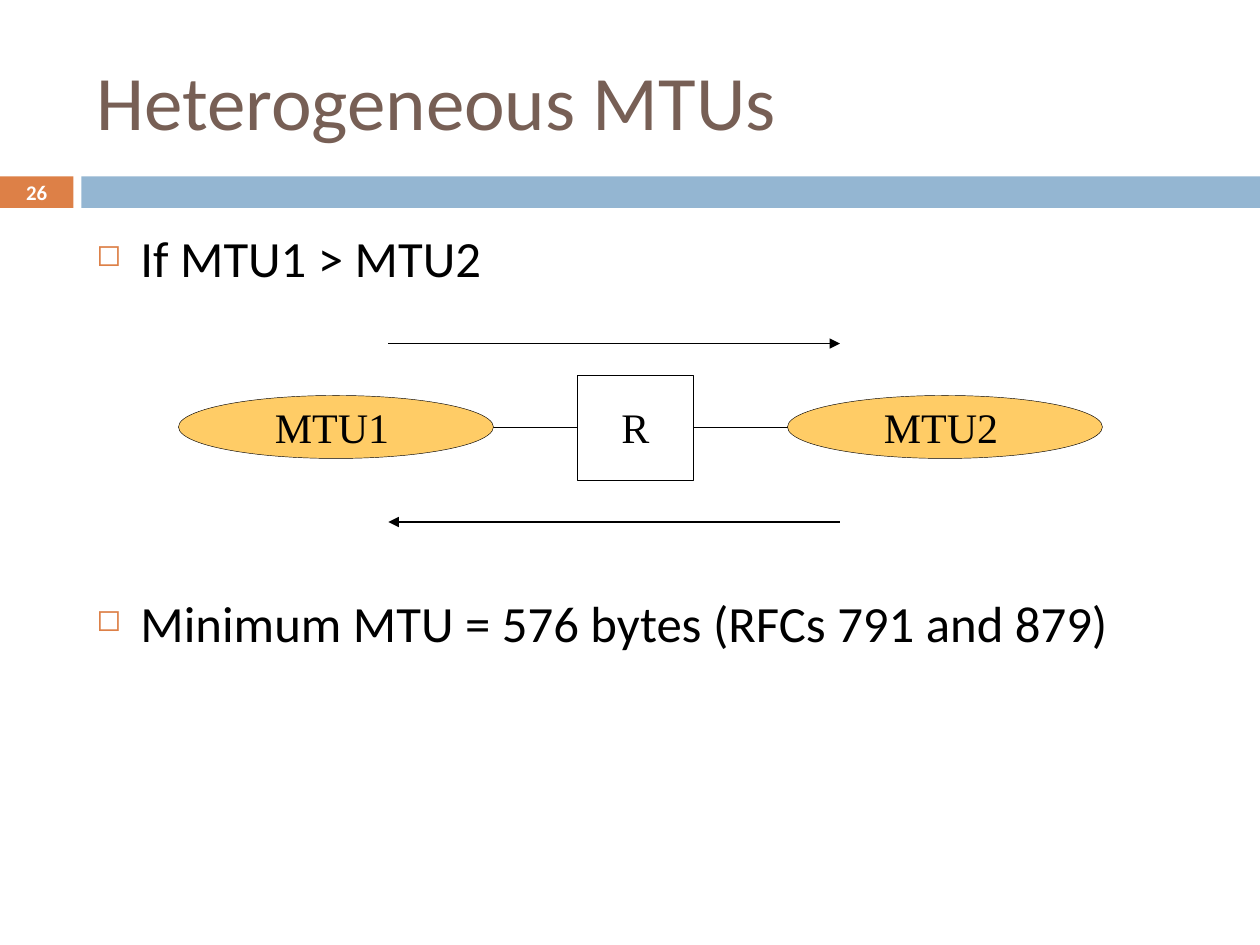
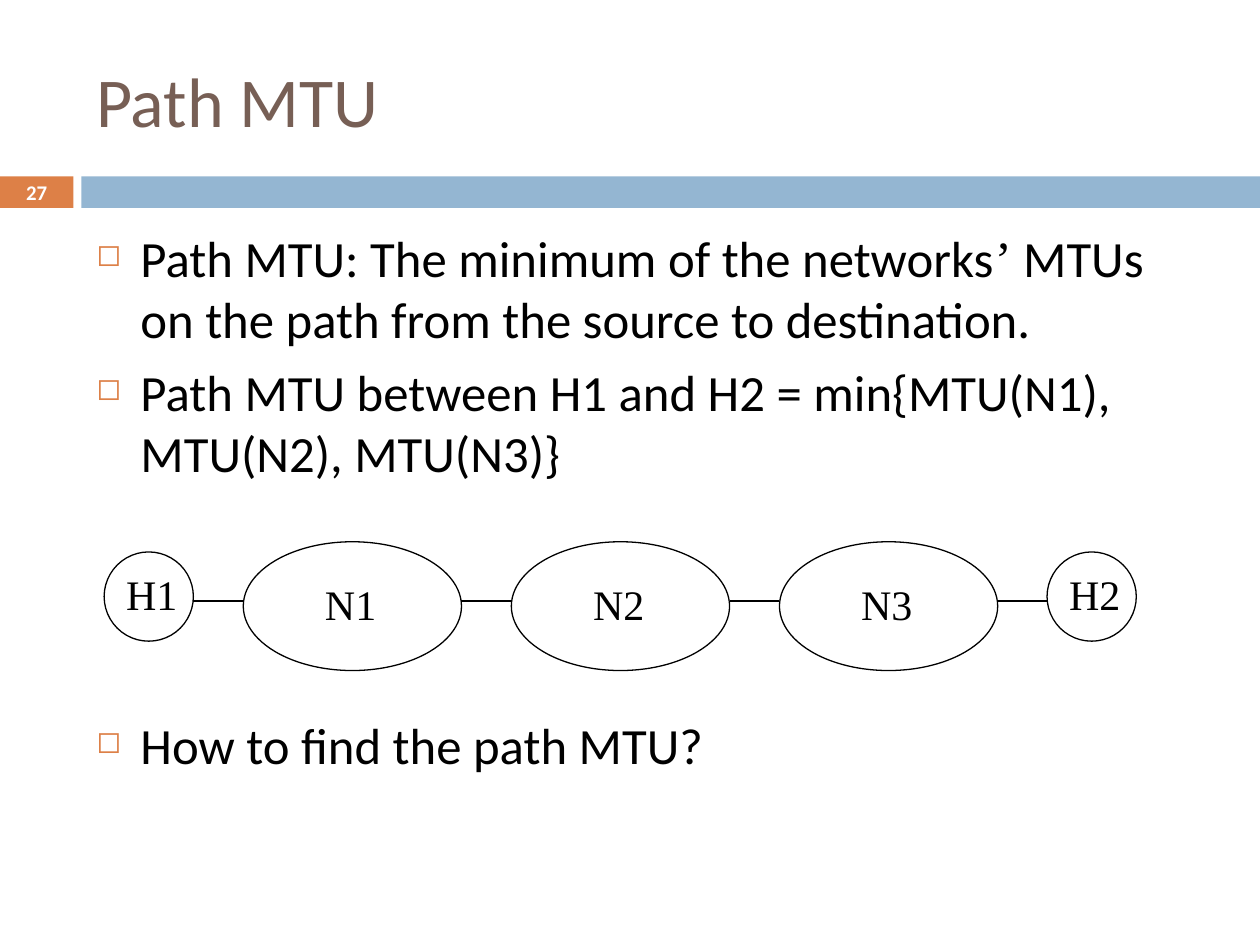
"""Build two slides on heterogeneous and path MTUs."""
from lxml import etree
from pptx import Presentation
from pptx.dml.color import RGBColor
from pptx.enum import shapes, text
from pptx.oxml import ns
from pptx.util import Pt

COLORS = {
    "title": "775F55",
    "accent": "DD8047",
    "band": "94B6D2",
    "network": "FFCC66",
    "ink": "000000",
    "paper": "FFFFFF",
}
SANS, SERIF = "Calibri", "Times New Roman"
RECTANGLE = shapes.MSO_SHAPE.RECTANGLE
OVAL = shapes.MSO_SHAPE.OVAL


def color(name):
    return RGBColor.from_string(COLORS[name])


def add_element(parent, tag, **attributes):
    return etree.SubElement(parent, ns.qn(tag), attributes)


class Deck:
    """Holds the presentation, its style and the current slide."""

    def __init__(self):
        self.presentation = Presentation()
        self.presentation.slide_width = Pt(720)
        self.presentation.slide_height = Pt(540)
        self.slide = None

    def start_slide(self, title, number, title_size):
        self.slide = self.presentation.slides.add_slide(self.presentation.slide_layouts[6])
        self.shape(RECTANGLE, 0, 100.8, 42, 18, fill="accent")
        self.shape(RECTANGLE, 46.5, 100.8, 673.5, 18, fill="band")
        self.text_box(title, 48, 18, 642, 78, title_size, SANS, "title", middle=True)
        paragraph = self.text_box(str(number), 0, 100, 42, 19.5, 11.9, SANS, "paper", middle=True)
        paragraph.alignment = text.PP_ALIGN.CENTER
        paragraph.runs[0].font.bold = True

    def shape(self, kind, left, top, width, height, fill=None, line=None):
        shape = self.slide.shapes.add_shape(kind, Pt(left), Pt(top), Pt(width), Pt(height))
        shape.shadow.inherit = False
        if fill:
            shape.fill.solid()
            shape.fill.fore_color.rgb = color(fill)
        else:
            shape.fill.background()
        if line:
            shape.line.color.rgb = color("ink")
            shape.line.width = Pt(line)
        else:
            shape.line.fill.background()

    def frame(self, left, top, width, height, middle=False):
        box = self.slide.shapes.add_textbox(Pt(left), Pt(top), Pt(width), Pt(height))
        frame = box.text_frame
        frame.word_wrap = True
        frame.vertical_anchor = text.MSO_ANCHOR.MIDDLE if middle else text.MSO_ANCHOR.TOP
        return frame

    def run(self, paragraph, content, size, font, ink="ink"):
        run = paragraph.add_run()
        run.text = content
        run.font.size = Pt(size)
        run.font.name = font
        run.font.color.rgb = color(ink)

    def text_box(self, content, left, top, width, height, size, font, ink="ink", middle=False):
        paragraph = self.frame(left, top, width, height, middle).paragraphs[0]
        self.run(paragraph, content, size, font, ink)
        return paragraph

    def label(self, content, left, top, width):
        self.text_box(content, left, top, width, 36, 24, SERIF)

    def bullets(self, items):
        frame = self.frame(48, 126, 642, 354)
        for index, (space_before, runs) in enumerate(items):
            paragraph = frame.add_paragraph() if index else frame.paragraphs[0]
            properties = paragraph._p.get_or_add_pPr()
            properties.set("marL", str(Pt(25.2)))
            properties.set("indent", str(-Pt(25.2)))
            bullet_color = add_element(properties, "a:buClr")
            add_element(bullet_color, "a:srgbClr", val=COLORS["accent"])
            add_element(properties, "a:buSzPct", val="60000")
            add_element(properties, "a:buChar", char="◻")
            paragraph.space_before = Pt(space_before)
            for content, font in runs:
                self.run(paragraph, content, 29, font)

    def line(self, start, end, y, width=0.75, arrow=False):
        connector = self.slide.shapes.add_connector(
            shapes.MSO_CONNECTOR.STRAIGHT, Pt(start), Pt(y), Pt(end), Pt(y))
        connector.line.color.rgb = color("ink")
        connector.line.width = Pt(width)
        properties = connector._element.spPr
        if arrow:
            add_element(properties.find(ns.qn("a:ln")), "a:tailEnd", type="triangle")
        add_element(properties, "a:effectLst")


def heterogeneous_mtus(deck):
    deck.start_slide("Heterogeneous MTUs", 26, 44)
    deck.bullets([
        (0, [("If MTU1 > MTU2", SANS)]),
        (174, [("Minimum MTU = 576 bytes (RFCs 791 and 879)", SANS)]),
    ])
    deck.shape(RECTANGLE, 330, 214.5, 66, 60, line=0.25)
    deck.label("R", 348, 226, 31)
    for link_start in (228, 396):
        deck.line(link_start, link_start + 102, 244.3, width=0.25)
    for name, left in (("MTU1", 102), ("MTU2", 450)):
        deck.shape(OVAL, left, 226, 180, 36, fill="network", line=0.25)
        deck.label(name, left + 48, 226, 84)
    deck.line(222, 480, 196.3, arrow=True)
    deck.line(480, 222, 298.3, arrow=True)


def path_mtu(deck):
    deck.start_slide("Path MTU", 27, 40)
    deck.bullets([
        (0, [("Path MTU: The minimum of the networks", SANS), ("’", SERIF),
             (" MTUs on the path from the source to destination.", SANS)]),
        (7, [("Path MTU between H1 and H2 = min{MTU(N1), MTU(N2), MTU(N3)}", SANS)]),
        (132, [("How to find the path MTU?", SANS)]),
    ])
    pitch, first_network, link = 153.2, 139, 28.5
    for index in range(4):
        network_left = first_network + pitch * index
        deck.line(network_left - link, network_left, 343.5)
        if index < 3:
            deck.shape(OVAL, network_left, 309.6, 124.7, 73.6, line=0.75)
            deck.label(f"N{index + 1}", network_left + 39.6, 327, 46)
    for name, left in (("H1", 59.5), ("H2", 598.3)):
        deck.shape(OVAL, left, 315.4, 51, 51, line=0.75)
        deck.label(name, left + 5.5, 321.4, 46)


def main():
    deck = Deck()
    heterogeneous_mtus(deck)
    path_mtu(deck)
    deck.presentation.save("out.pptx")


if __name__ == "__main__":
    main()
